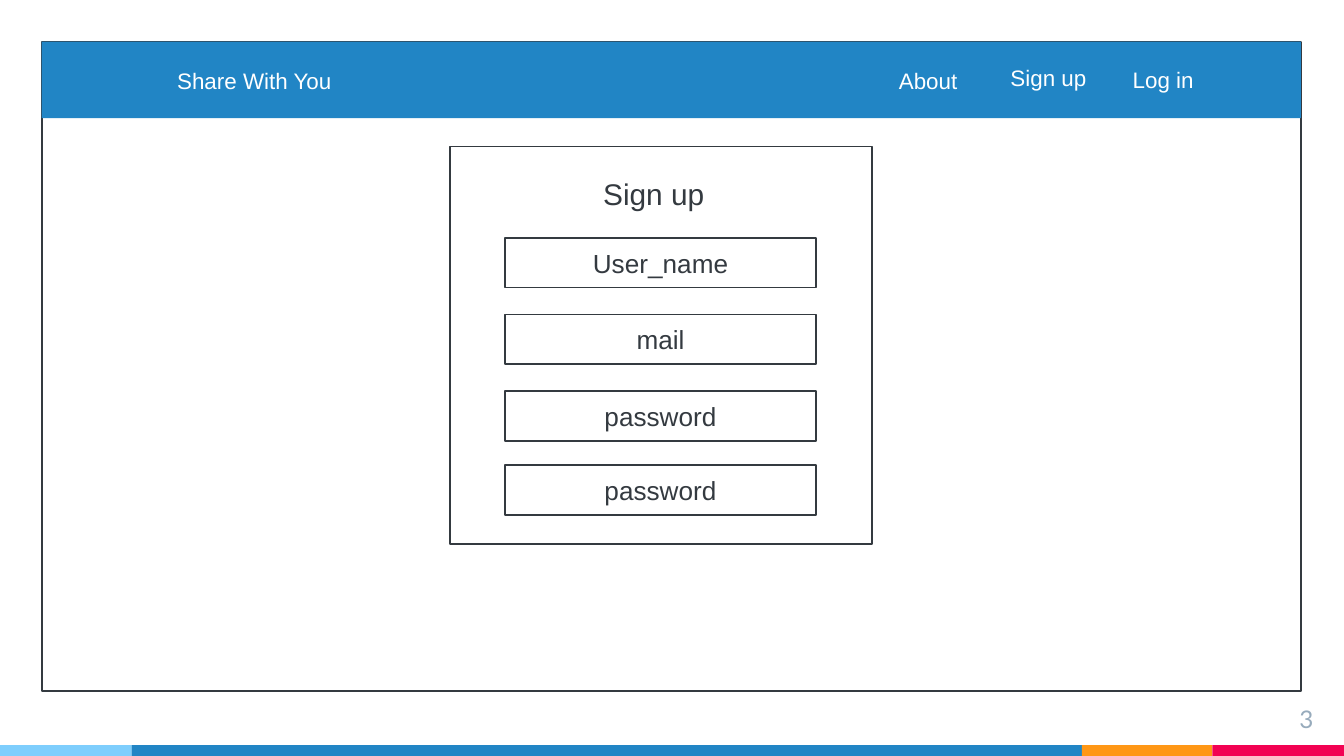
"""Build the sign-up page wireframe slide."""
from pptx import Presentation
from pptx.dml.color import RGBColor
from pptx.enum.shapes import MSO_SHAPE
from pptx.enum.text import MSO_ANCHOR, PP_ALIGN
from pptx.util import Inches, Pt

RECTANGLE = MSO_SHAPE.RECTANGLE
TOP, MIDDLE = MSO_ANCHOR.TOP, MSO_ANCHOR.MIDDLE
LEFT, CENTER, RIGHT = PP_ALIGN.LEFT, PP_ALIGN.CENTER, PP_ALIGN.RIGHT

COLORS = {
    "sky": "7ECEFD", "blue": "2185C5", "orange": "FF9715", "red": "F20253",
    "ink": "343A40", "gray": "97ABBC", "white": "FFFFFF",
}
PAGE_WIDTH = 10
PAGE_HEIGHT = PAGE_WIDTH * 9 / 16
STRIPE_HEIGHT = 0.08
STRIPES = [("sky", 0.98), ("blue", 7.07), ("orange", 0.97), ("red", 0.98)]
FRAME = (0.31, 0.31, 9.37, 4.83)
HEADER = (0.31, 0.31, 9.37, 0.57)
FORM = (3.35, 1.09, 3.14, 2.96)
NAVIGATION = [
    ("Share With You", 1.22, 0.45, 1.47),
    ("About", 6.59, 0.45, 0.73),
    ("Sign up", 7.42, 0.43, 0.89),
    ("Log in", 8.33, 0.44, 0.67),
]
FORM_TITLE = ("Sign up", (4.39, 1.26, 1.06, 0.37))
FIELDS = [("User_name", 1.77), ("mail", 2.34), ("password", 2.91), ("password", 3.46)]
FIELD_LEFT, FIELD_WIDTH, FIELD_HEIGHT = 3.76, 2.31, 0.37
PAGE_NUMBER = ("3", (9.27, 5.14, 0.6, 0.34))


def color(name):
    return RGBColor.from_string(COLORS[name])


def write(box, text, size, ink, font="Arial", align=LEFT, anchor=TOP, inset=(0.1, 0.05)):
    frame = box.text_frame
    across, down = map(Inches, inset)
    layout = {
        "word_wrap": True, "vertical_anchor": anchor,
        "margin_left": across, "margin_right": across,
        "margin_top": down, "margin_bottom": down,
    }
    for name, value in layout.items():
        setattr(frame, name, value)
    para = frame.paragraphs[0]
    para.alignment = align
    span = para.add_run()
    span.text = text
    for name, value in {"name": font, "size": Pt(size)}.items():
        setattr(span.font, name, value)
    span.font.color.rgb = color(ink)


def add_label(page, place, text, size, ink, **options):
    box = page.shapes.add_textbox(*map(Inches, place))
    write(box, text, size, ink, **options)


def add_box(page, place, fill=None):
    box = page.shapes.add_shape(RECTANGLE, *map(Inches, place))
    box.shadow.inherit = False
    if fill:
        box.fill.solid()
        box.fill.fore_color.rgb = color(fill)
        box.line.fill.background()
    else:
        box.fill.background()
        box.line.color.rgb = color("ink")
        box.line.width = Pt(1)
    return box


def main():
    deck = Presentation()
    deck.slide_width, deck.slide_height = Inches(PAGE_WIDTH), Inches(PAGE_HEIGHT)
    page = deck.slides.add_slide(deck.slide_layouts[6])

    left = 0
    for fill, width in STRIPES:
        add_box(page, (left, PAGE_HEIGHT - STRIPE_HEIGHT, width, STRIPE_HEIGHT), fill)
        left += width
    text, place = PAGE_NUMBER
    add_label(page, place, text, 13, "gray", font="Lato", align=RIGHT, inset=(0.1, 0.1))

    add_box(page, FRAME)
    add_box(page, HEADER, "blue")
    for text, left, top, width in NAVIGATION:
        add_label(page, (left, top, width, 0.3), text, 12, "white")

    add_box(page, FORM)
    for text, top in FIELDS:
        field = add_box(page, (FIELD_LEFT, top, FIELD_WIDTH, FIELD_HEIGHT))
        write(field, text, 14, "ink", align=CENTER, anchor=MIDDLE)
    text, place = FORM_TITLE
    add_label(page, place, text, 16, "ink")

    deck.save("out.pptx")


if __name__ == "__main__":
    main()
